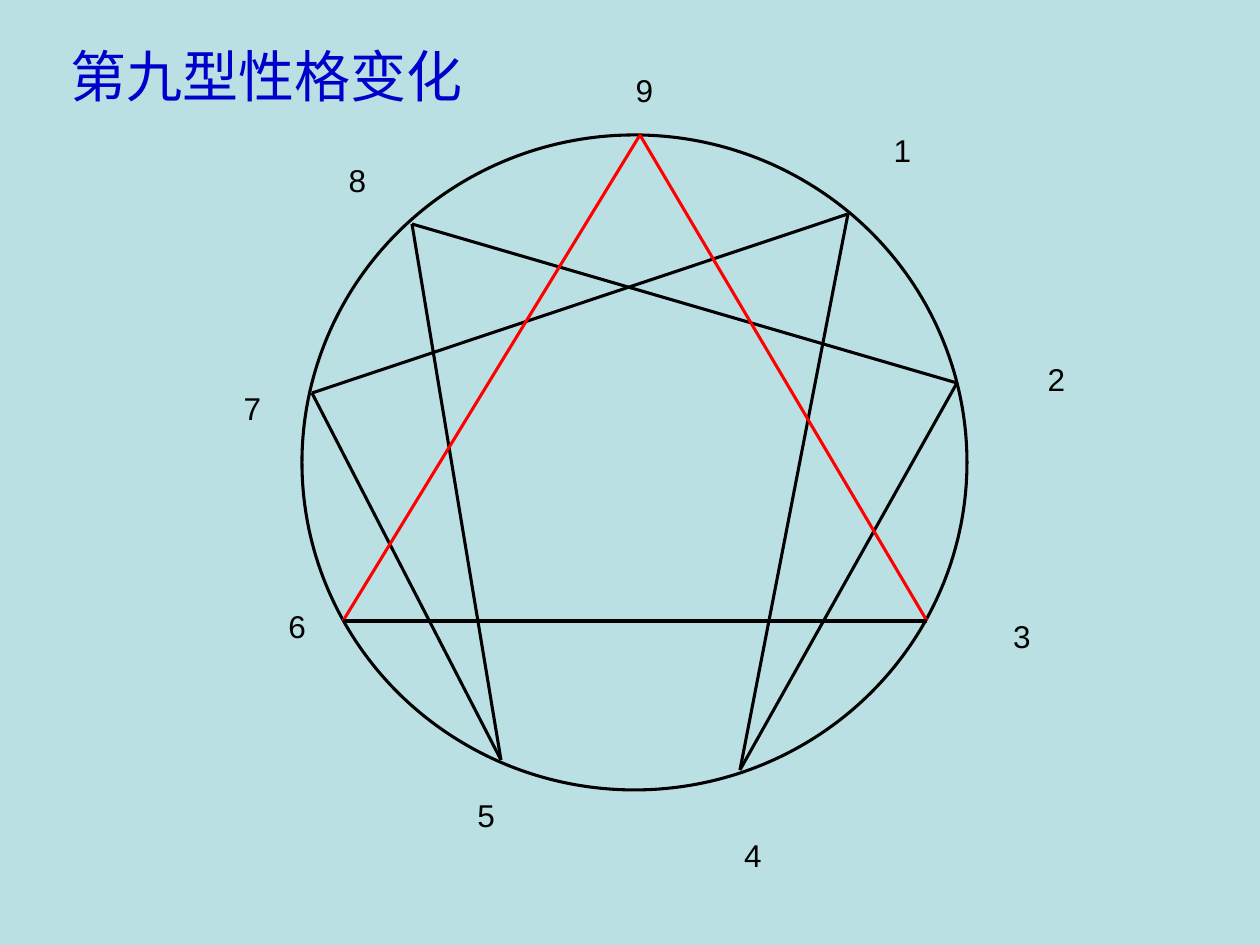
from dataclasses import dataclass

from lxml.etree import SubElement
from pptx import Presentation
from pptx.dml.color import RGBColor
from pptx.enum.shapes import MSO_CONNECTOR, MSO_SHAPE
from pptx.enum.text import MSO_ANCHOR, PP_ALIGN
from pptx.oxml.ns import qn
from pptx.util import Emu, Pt

TITLE = "第九型性格变化"
TITLE_BOX = (34, 35, 466, 81)
CIRCLE = (302, 135, 665, 655)
LABEL_H = 50

# Points of the enneagram on the circle, px
POINTS = {
    1: (848, 214), 2: (957, 383), 3: (927, 621),
    4: (740, 770), 5: (501, 760), 6: (343, 621),
    7: (312, 393), 8: (412, 224), 9: (640, 135),
}
# Label boxes: left, top, width, px
LABELS = {
    1: (858, 125, 89), 2: (1007, 354, 99), 3: (958, 611, 128),
    4: (699, 830, 108), 5: (432, 790, 108), 6: (243, 601, 108),
    7: (223, 383, 59), 8: (323, 155, 69), 9: (600, 65, 89),
}
PLAIN_LINKS = [(5, 7), (5, 8), (4, 2), (4, 1), (7, 1), (8, 2)]
CHANGE_LINKS = [(6, 9), (9, 3)]
BASE_LINKS = [(6, 3)]


@dataclass(frozen=True)
class Theme:
    font: str = "Arial"
    background: RGBColor = RGBColor(0xBB, 0xE0, 0xE3)
    ink: RGBColor = RGBColor(0, 0, 0)
    change: RGBColor = RGBColor(0xFF, 0, 0)
    title: RGBColor = RGBColor(0, 0, 0xCC)
    title_size: Pt = Pt(32)
    label_size: Pt = Pt(18)
    line_width: Pt = Pt(1.75)


THEME = Theme()


def px(*values):
    return [Emu(round(v * 914400 / 126)) for v in values]


def write(s, text, size, color):
    tf = s.text_frame
    tf.word_wrap = True
    tf.vertical_anchor = MSO_ANCHOR.MIDDLE
    p = tf.paragraphs[0]
    p.alignment = PP_ALIGN.CENTER
    r = p.add_run()
    r.text = text
    r.font.name = THEME.font
    r.font.size = size
    r.font.color.rgb = color


def add_links(slide, links, color):
    for start, end in links:
        s = slide.shapes.add_connector(
            MSO_CONNECTOR.STRAIGHT, *px(*POINTS[start], *POINTS[end]))
        s.line.color.rgb = color
        s.line.width = THEME.line_width
        SubElement(s._element.spPr, qn("a:effectLst"))


def main():
    prs = Presentation()
    prs.slide_width, prs.slide_height = px(1260, 945)
    slide = prs.slides.add_slide(prs.slide_layouts[5])
    slide.background.fill.solid()
    slide.background.fill.fore_color.rgb = THEME.background

    title = slide.shapes.title
    title.left, title.top, title.width, title.height = px(*TITLE_BOX)
    write(title, TITLE, THEME.title_size, THEME.title)

    circle = slide.shapes.add_shape(MSO_SHAPE.OVAL, *px(*CIRCLE))
    circle.shadow.inherit = False
    circle.fill.background()
    circle.line.color.rgb = THEME.ink
    circle.line.width = THEME.line_width

    add_links(slide, PLAIN_LINKS, THEME.ink)
    for number, box in LABELS.items():
        label = slide.shapes.add_textbox(*px(*box, LABEL_H))
        write(label, str(number), THEME.label_size, THEME.ink)
    add_links(slide, CHANGE_LINKS, THEME.change)
    add_links(slide, BASE_LINKS, THEME.ink)

    prs.save("out.pptx")


if __name__ == "__main__":
    main()
